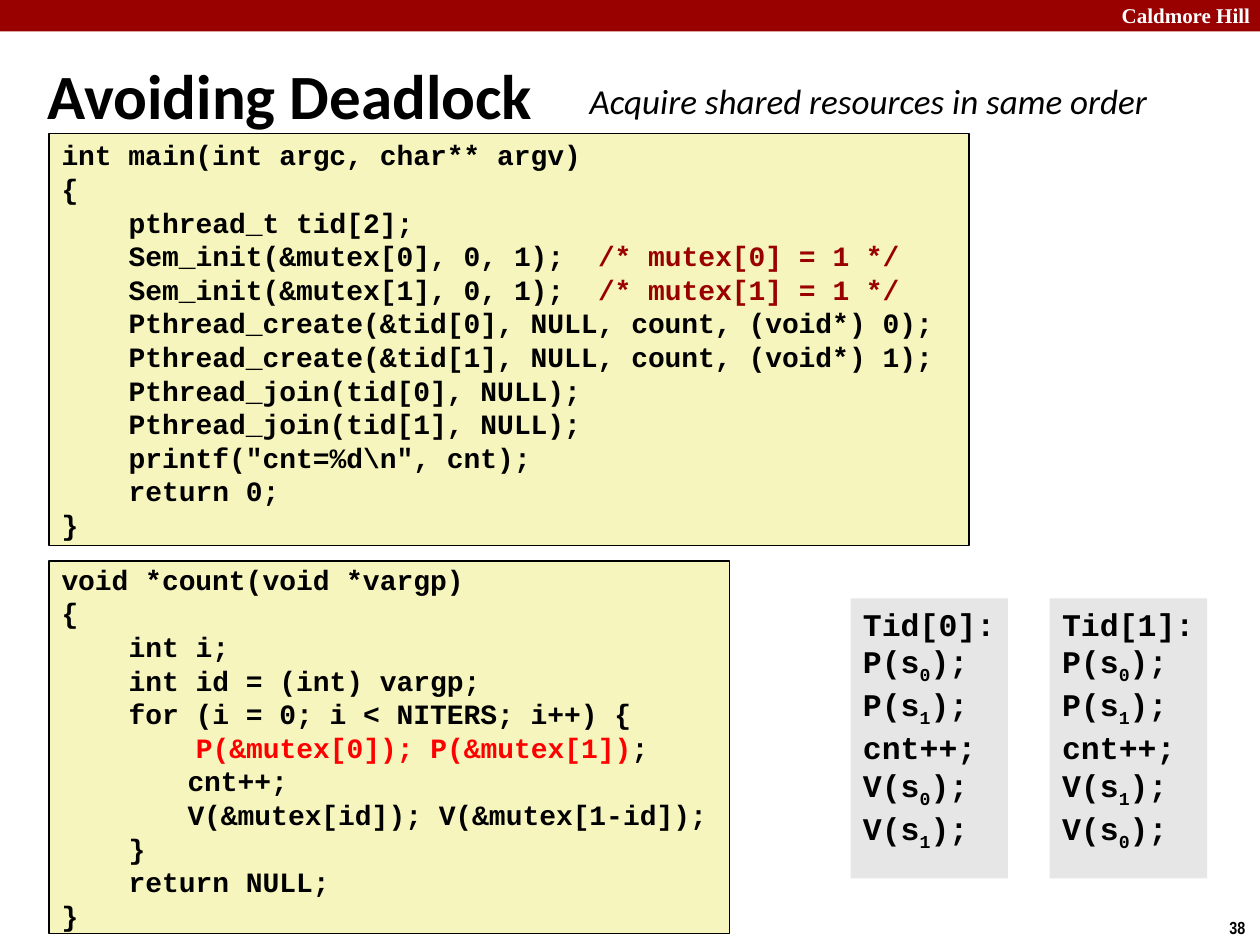
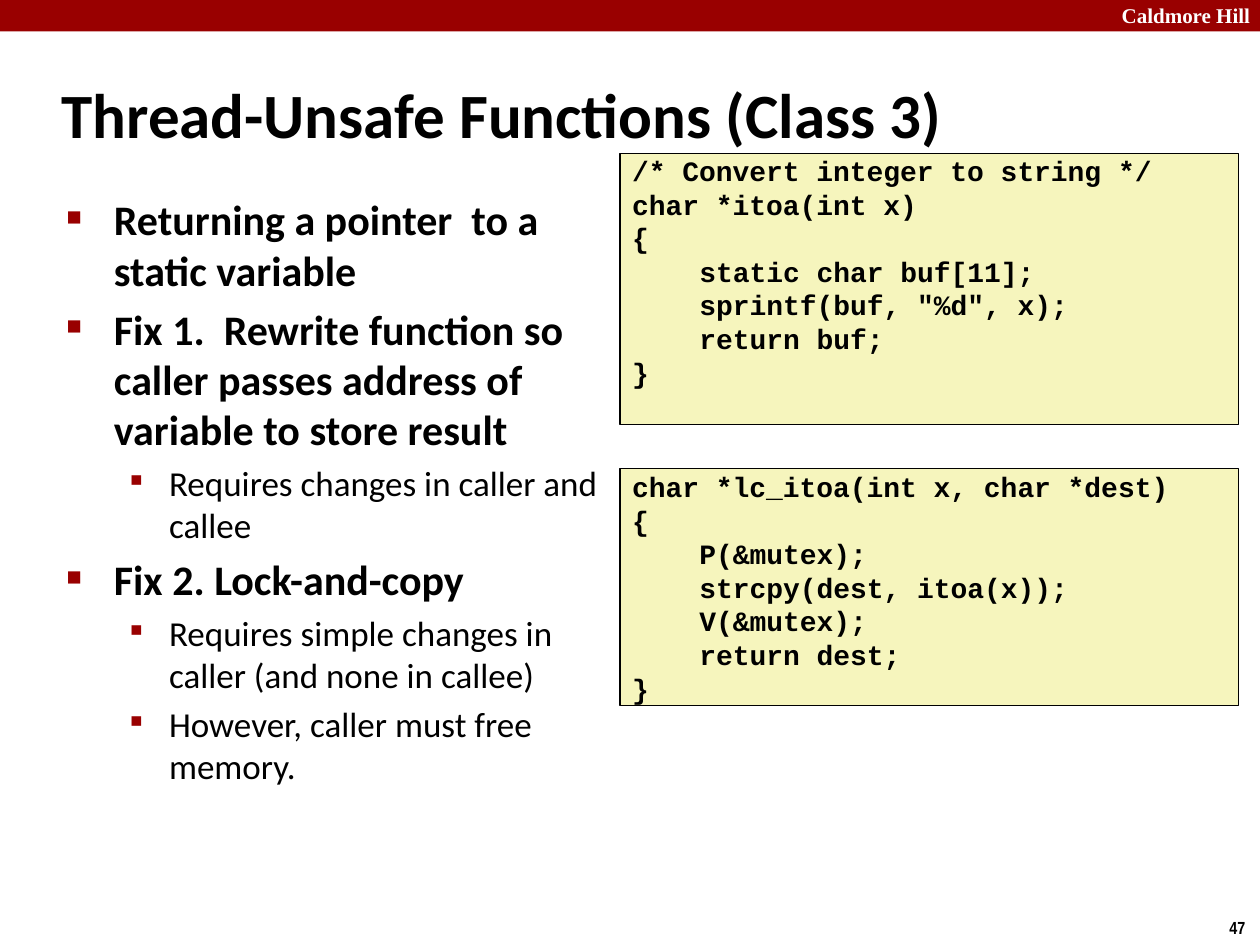
from dataclasses import dataclass

from lxml import etree
from pptx import Presentation
from pptx.dml.color import RGBColor
from pptx.enum import shapes, text
from pptx.oxml import ns
from pptx.util import Pt


@dataclass(frozen=True)
class Theme:
    # Colours
    red: str = "990000"
    hot: str = "FF0000"
    cream: str = "F6F5BD"
    grey: str = "E6E6E6"
    black: str = "000000"
    white: str = "FFFFFF"
    # Fonts
    sans: str = "Calibri"
    mono: str = "Courier New"
    serif: str = "Times New Roman"
    thin: str = "Arial Narrow"
    # Type sizes
    title: int = 36
    point: int = 24
    sub: int = 20
    step: int = 18
    code: int = 16
    brand: int = 12
    page: int = 10


BRAND = "Caldmore Hill"
IN = 38.4  # four code characters
TAB = 72   # one tab stop
# Per bullet level: left margin, hanging indent, mark, mark size in percent
MARKS = [(27, 27, "■", 60), (58.5, 22.5, "▪", 110)]


class Deck:
    def __init__(self, theme):
        self.th = theme
        self.prs = Presentation()
        self.prs.slide_width, self.prs.slide_height = Pt(720), Pt(540)
        self.slide = None

    def page(self, num, title, left, top):
        """Start a slide with its band, brand, number and title."""
        th = self.th
        self.slide = self.prs.slides.add_slide(self.prs.slide_layouts[6])
        self.rect((0, 0, 720, 18), th.red)
        box = self.label((602, -2.2, 119.5, 21.6), BRAND,
                         th.brand, th.serif, th.white)
        box.text_frame.paragraphs[0].alignment = text.PP_ALIGN.RIGHT
        self.label((695.5, 520.5, 24.5, 19.5), str(num), th.page, th.thin)
        box = self.label((left, top, 597.6, 59.8), title, th.title)
        box.text_frame.vertical_anchor = text.MSO_ANCHOR.MIDDLE

    def rect(self, at, fill, line=None):
        box = self.slide.shapes.add_shape(
            shapes.MSO_SHAPE.RECTANGLE, *map(Pt, at))
        box.shadow.inherit = False
        box.fill.solid()
        box.fill.fore_color.rgb = RGBColor.from_string(fill)
        if line:
            box.line.color.rgb = RGBColor.from_string(line)
            box.line.width = Pt(1)
        else:
            box.line.fill.background()
        return box

    def para(self, frame, first):
        par = frame.paragraphs[0] if first else frame.add_paragraph()
        par.alignment = text.PP_ALIGN.LEFT
        return par

    def run(self, par, words, size, face, color=None, bold=True, italic=False):
        run = par.add_run()
        run.text = words
        font = run.font
        font.size, font.name = Pt(size), face
        font.bold, font.italic = bold, italic
        font.color.rgb = RGBColor.from_string(color or self.th.black)
        return run

    def label(self, at, words, size, face=None, color=None, **style):
        box = self.slide.shapes.add_textbox(*map(Pt, at))
        box.text_frame.word_wrap = True
        par = self.para(box.text_frame, True)
        self.run(par, words, size, face or self.th.sans, color, **style)
        return box

    def code(self, at, lines, anchor=text.MSO_ANCHOR.MIDDLE):
        """Each line is an indent, then runs: text or (text, colour)."""
        frame = self.rect(at, self.th.cream, self.th.black).text_frame
        frame.word_wrap = True
        frame.vertical_anchor = anchor
        frame.margin_top = frame.margin_bottom = frame.margin_right = 0
        for i, (indent, *runs) in enumerate(lines):
            par = self.para(frame, i == 0)
            if indent:
                par._p.get_or_add_pPr().set("marL", str(Pt(indent)))
            for item in runs:
                words, color = (item, None) if isinstance(item, str) else item
                self.run(par, words, self.th.code, self.th.mono, color)

    def steps(self, left, head, calls):
        """Grey box of thread steps; a call is P or V plus a subscript."""
        th = self.th
        frame = self.rect((left, 342, 90, 160), th.grey).text_frame
        frame.word_wrap = True
        frame.vertical_anchor = text.MSO_ANCHOR.TOP
        frame.margin_right = 0
        for i, item in enumerate([head, *calls]):
            par = self.para(frame, i == 0)
            if item[0] not in "PV":
                self.run(par, item, th.step, th.mono)
                continue
            self.run(par, item[0] + "(s", th.step, th.mono)
            low = self.run(par, item[1], th.step, th.mono)
            low._r.get_or_add_rPr().set("baseline", "-25000")
            self.run(par, ");", th.step, th.mono)

    def points(self, at, items):
        frame = self.slide.shapes.add_textbox(*map(Pt, at)).text_frame
        frame.word_wrap = True
        for i, (level, words) in enumerate(items):
            par = self.para(frame, i == 0)
            size = self.th.sub if level else self.th.point
            par.level = level
            par.space_before = Pt(size * 0.2)
            self.mark(par, *MARKS[level])
            self.run(par, words, size, self.th.sans, bold=level == 0)

    def mark(self, par, left, hang, sign, scale):
        props = par._p.get_or_add_pPr()
        props.set("marL", str(Pt(left)))
        props.set("indent", str(-Pt(hang)))
        tint = etree.SubElement(props, ns.qn("a:buClr"))
        etree.SubElement(tint, ns.qn("a:srgbClr"), val=self.th.red)
        etree.SubElement(props, ns.qn("a:buSzPct"), val=str(scale * 1000))
        etree.SubElement(props, ns.qn("a:buFont"), typeface=self.th.thin)
        etree.SubElement(props, ns.qn("a:buChar"), char=sign)


def order(deck):
    """Locks taken in one order."""
    th = deck.th
    deck.page(38, "Avoiding Deadlock", 20.2, 23.8)
    deck.code((28.1, 76.3, 525.6, 235.4), [
        (0, "int main(int argc, char** argv)"),
        (0, "{"),
        (IN, "pthread_t tid[2];"),
        *[(IN, f"Sem_init(&mutex[{n}], 0, 1);  ",
           (f"/* mutex[{n}] = 1 */", th.red)) for n in range(2)],
        *[(IN, f"Pthread_create(&tid[{n}], NULL, count, (void*) {n});")
          for n in range(2)],
        *[(IN, f"Pthread_join(tid[{n}], NULL);") for n in range(2)],
        (IN, r'printf("cnt=%d\n", cnt);'),
        (IN, "return 0;"),
        (0, "}"),
    ])
    deck.code((28.1, 320.4, 388.8, 213.1), [
        (0, "void *count(void *vargp)"),
        (0, "{"),
        (IN, "int i;"),
        (IN, "int id = (int) vargp;"),
        (IN, "for (i = 0; i < NITERS; i++) {"),
        (2 * IN, ("P(&mutex[0]); P(&mutex[1])", th.hot), ";"),
        (TAB, "cnt++;"),
        (TAB, "V(&mutex[id]); V(&mutex[1-id]);"),
        (IN, "}"),
        (IN, "return NULL;"),
        (0, "}"),
    ])
    deck.label((329.8, 41.8, 345, 31.7),
               "Acquire shared resources in same order",
               th.sub, bold=False, italic=True)
    for n, frees in enumerate([("V0", "V1"), ("V1", "V0")]):
        deck.steps(486 + 113.8 * n, f"Tid[{n}]:",
                   ["P0", "P1", "cnt++;", *frees])


def unsafe(deck):
    """Functions that return a static pointer."""
    deck.page(47, "Thread-Unsafe Functions (Class 3)", 28.1, 34.6)
    deck.points((31, 107.3, 334.8, 366.5), [
        (0, "Returning a pointer  to a static variable"),
        (0, "Fix 1.  Rewrite function so caller passes address of "
            "variable to store result"),
        (1, "Requires changes in caller and callee"),
        (0, "Fix 2. Lock-and-copy"),
        (1, "Requires simple changes in caller (and none in callee)"),
        (1, "However, caller must free memory."),
    ])
    deck.code((354.2, 267.8, 353.5, 135.4), [
        (0, "char *lc_itoa(int x, char *dest)"),
        (0, "{"),
        (IN, "P(&mutex);"),
        (IN, "strcpy(dest, itoa(x));"),
        (IN, "V(&mutex);"),
        (IN, "return dest;"),
        (0, "}"),
    ])
    deck.code((354.2, 87.8, 353.5, 154.8), [
        (0, "/* Convert integer to string */"),
        (0, "char *itoa(int x)"),
        (0, "{"),
        (IN, "static char buf[11];"),
        (IN, 'sprintf(buf, "%d", x);'),
        (IN, "return buf;"),
        (0, "}"),
    ], text.MSO_ANCHOR.TOP)


def main():
    deck = Deck(Theme())
    order(deck)
    unsafe(deck)
    deck.prs.save("out.pptx")


if __name__ == "__main__":
    main()
